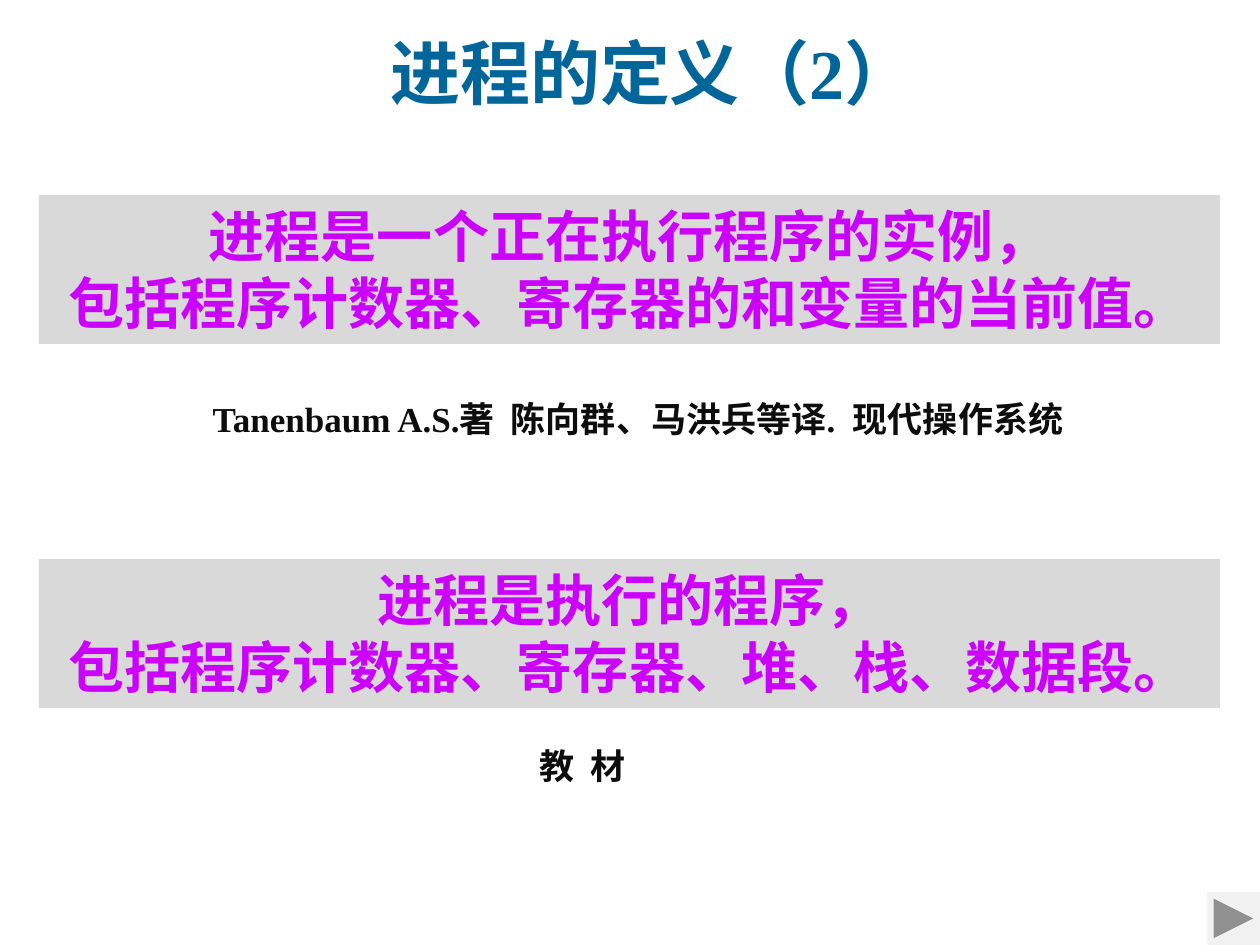
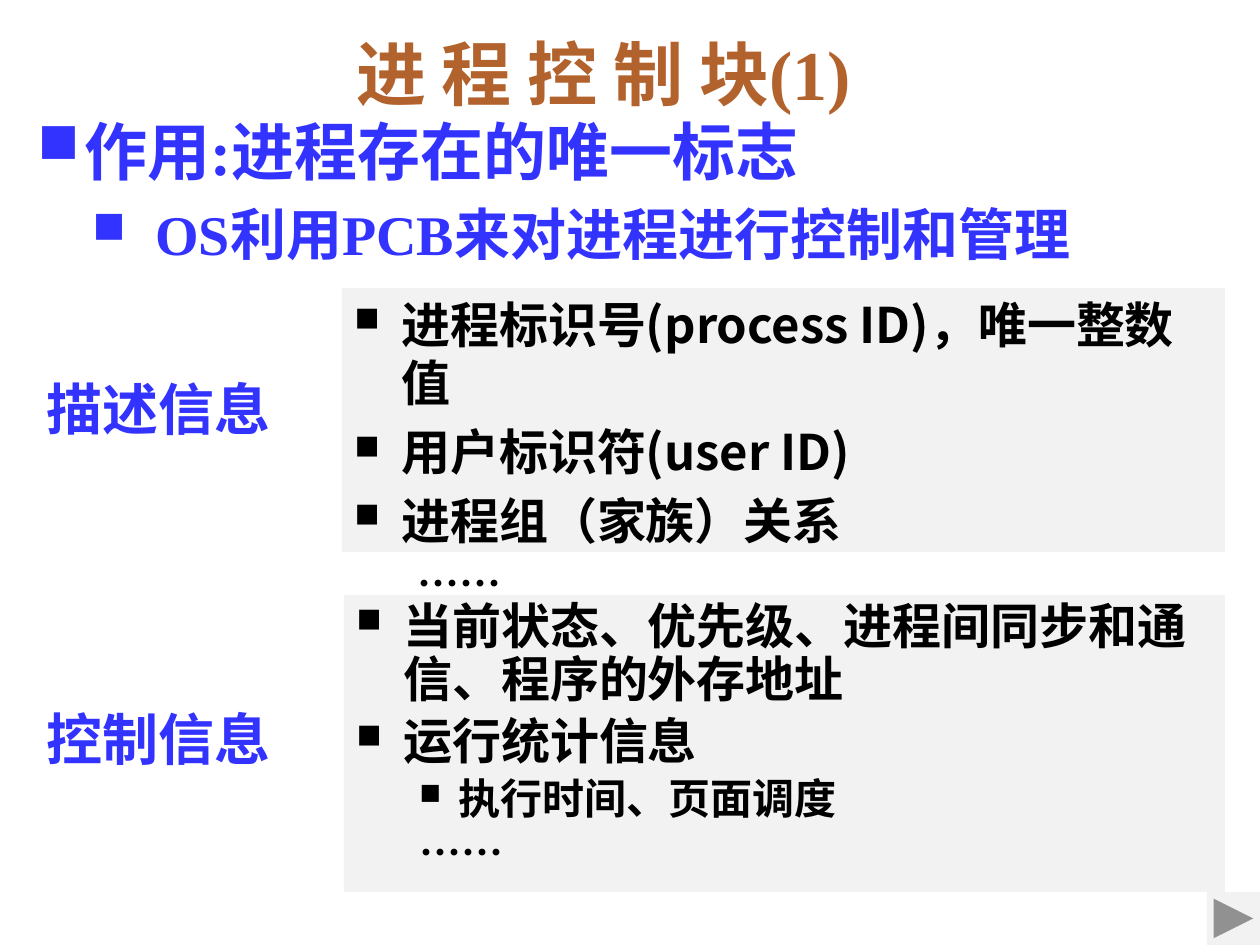
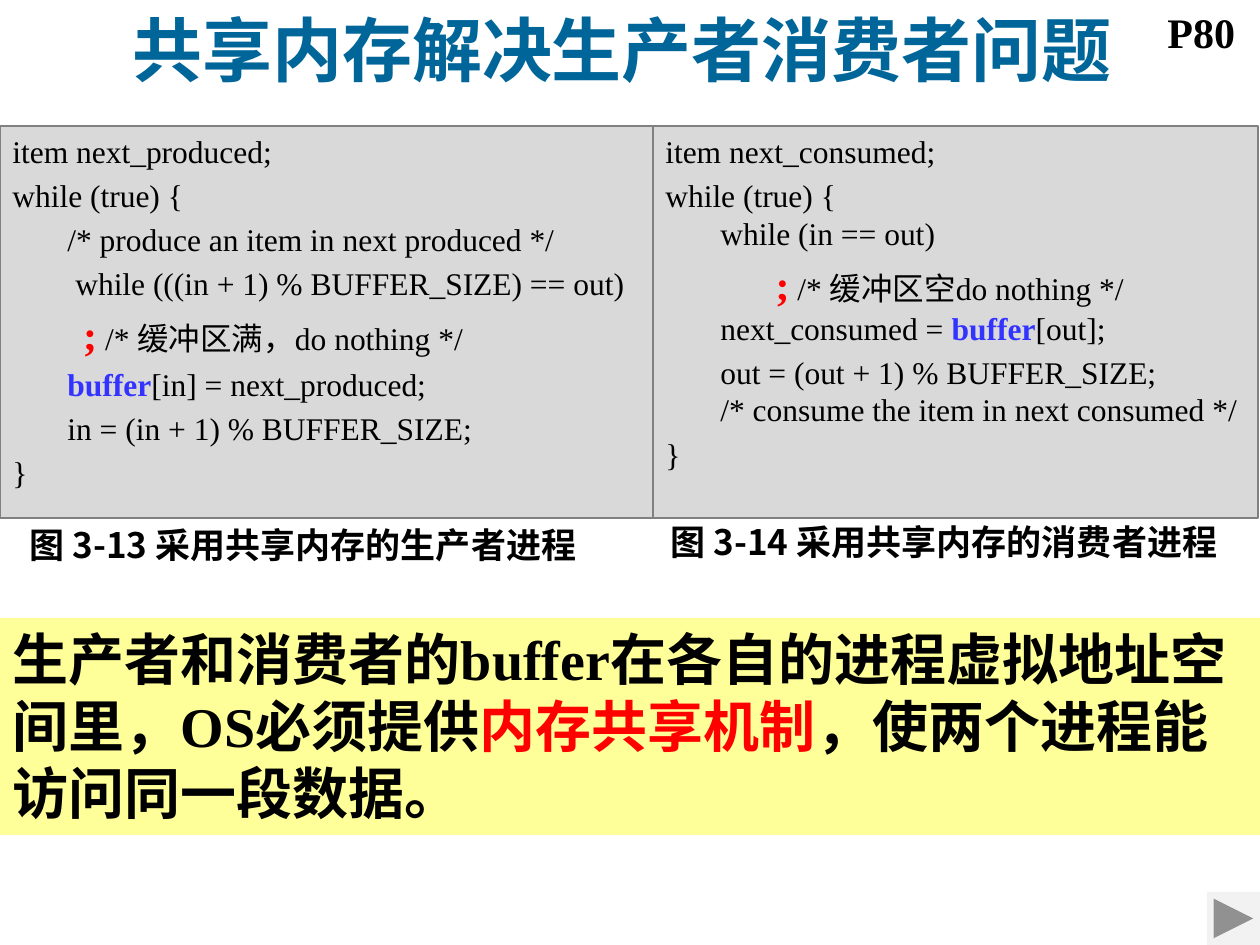
from lxml.etree import SubElement
from pptx import Presentation
from pptx.dml.color import RGBColor
from pptx.enum.shapes import MSO_SHAPE
from pptx.enum.text import MSO_ANCHOR, PP_ALIGN
from pptx.oxml.ns import qn
from pptx.util import Pt

PX = 914400 // 126
SLIDE_W, SLIDE_H = 1260, 945
TIMES, SANS = "Times New Roman", "Noto Sans CJK SC"
LINE_HEIGHT = 1.2
SPACE_BEFORE = 0.2
COLORS = {
    "title": "006699", "brown": "B2622C", "blue": "3333FF", "purple": "CC00FF",
    "red": "FF0000", "black": "000000", "ink": "0D0D0D", "gray": "D9D9D9",
    "pale": "F2F2F2", "yellow": "FFFF99", "border": "808080",
}


def px(length):
    return round(length * PX)


def color(name):
    return RGBColor.from_string(COLORS[name])


def add_bullet(paragraph, size_pct, color_name):
    """Give the paragraph a square bullet."""
    props = paragraph._p.get_or_add_pPr()
    SubElement(SubElement(props, qn("a:buClr")), qn("a:srgbClr"), val=COLORS[color_name])
    SubElement(props, qn("a:buSzPct"), val=str(size_pct * 1000))
    SubElement(props, qn("a:buChar"), char="■")


def style_run(run, size, font, ink, bold):
    run.font.size = Pt(size)
    run.font.bold = bold
    run.font.name = font
    run.font.color.rgb = color(ink)
    SubElement(run._r.get_or_add_rPr(), qn("a:ea"), typeface=SANS)


def write(frame, lines, size, font=TIMES, ink="black", bold=True, align=PP_ALIGN.LEFT,
          spacing=1.0, gap=0):
    """Write one paragraph per line; a line is its runs or a dict with its own layout."""
    frame.word_wrap = True
    frame.vertical_anchor = MSO_ANCHOR.TOP
    for number, line in enumerate(lines):
        line = line if isinstance(line, dict) else {"runs": line}
        runs = [line["runs"]] if isinstance(line["runs"], str) else line["runs"]
        runs = [(run, {}) if isinstance(run, str) else run for run in runs]
        line_size = line.get("size", size)
        tallest = max(look.get("size", line_size) for _, look in runs)

        paragraph = frame.add_paragraph() if number else frame.paragraphs[0]
        paragraph.alignment = align
        paragraph.line_spacing = Pt(round(tallest * LINE_HEIGHT * spacing, 1))
        paragraph.space_before = Pt(round(line_size * line.get("gap", gap), 1) if number else 0)
        props = paragraph._p.get_or_add_pPr()
        props.set("marL", str(px(line.get("margin", 0))))
        props.set("indent", str(px(-line.get("hang", 0))))
        if "bullet" in line:
            add_bullet(paragraph, line["bullet"], ink)

        for text, look in runs:
            run = paragraph.add_run()
            run.text = text
            style = {"size": line_size, "font": font, "ink": ink, "bold": bold, **look}
            style_run(run, **style)


def add_text(slide, box, lines, size, **look):
    text_box = slide.shapes.add_textbox(*map(px, box))
    write(text_box.text_frame, lines, size, **look)


def add_panel(slide, box, fill, border=None, kind=MSO_SHAPE.RECTANGLE):
    panel = slide.shapes.add_shape(kind, *map(px, box))
    panel.shadow.inherit = False
    panel.fill.solid()
    panel.fill.fore_color.rgb = color(fill)
    if border:
        panel.line.color.rgb = color(border)
        panel.line.width = Pt(0.75)
    else:
        panel.line.fill.background()
    return panel.text_frame


def add_title(slide, box, text, ink="title", spacing=1.4):
    add_text(slide, box, [text], 40, ink=ink, align=PP_ALIGN.CENTER, spacing=spacing)


def add_next_button(slide):
    side = 53
    add_panel(slide, (SLIDE_W - side, SLIDE_H - side, side, side), "pale",
              kind=MSO_SHAPE.ACTION_BUTTON_FORWARD_OR_NEXT)


# Definitions of a process
def add_definition(slide, top, lines, source, source_top, source_width):
    frame = add_panel(slide, (39, top, 1181, 149), "gray")
    write(frame, lines, 32, ink="purple", align=PP_ALIGN.CENTER)
    add_text(slide, (131, top + source_top, source_width, 55), [source], 20,
             ink="ink", align=PP_ALIGN.CENTER)


def build_definitions(slide):
    add_definition(slide, 195,
                   ["进程是一个正在执行程序的实例，", "包括程序计数器、寄存器的和变量的当前值。"],
                   "Tanenbaum A.S.著  陈向群、马洪兵等译.  现代操作系统", 196, 1014)
    add_definition(slide, 559,
                   ["进程是执行的程序，", "包括程序计数器、寄存器、堆、栈、数据段。"],
                   "教  材", 179, 903)
    add_title(slide, (117, -10, 1071, 118), "进程的定义（2）")


# Process control block
def item(text):
    return {"runs": text, "margin": 47, "hang": 47, "bullet": 70}


def add_info_group(slide, box, label, label_top, lines, spacing=1.0):
    left, top, width, height = box
    add_text(slide, (34, top + label_top, 287, 79), [label], 32, ink="blue")
    frame = add_panel(slide, (left, top, width, height), "pale")
    more = {"runs": "……", "size": 24, "margin": 63}
    write(frame, [*lines, more], 28, font=SANS, spacing=spacing, gap=SPACE_BEFORE)


def build_control_block(slide):
    add_title(slide, (68, -9, 1071, 131), "进 程 控 制 块(1)", ink="brown")
    purpose = [
        {"runs": "作用:进程存在的唯一标志", "margin": 47, "hang": 47, "bullet": 90},
        {"runs": "OS利用PCB来对进程进行控制和管理", "size": 32,
         "margin": 118, "hang": 63, "bullet": 80},
    ]
    add_text(slide, (25, 106, 1181, 158), purpose, 36, ink="blue", gap=SPACE_BEFORE)
    add_info_group(slide, (342, 288, 883, 264), "描述信息", 80, [
        item("进程标识号(process ID)，唯一整数值"),
        item("用户标识符(user ID)"),
        item("进程组（家族）关系"),
    ])
    add_info_group(slide, (344, 595, 881, 297), "控制信息", 103, [
        item("当前状态、优先级、进程间同步和通信、程序的外存地址"),
        item("运行统计信息"),
        {"runs": "执行时间、页面调度", "size": 24, "margin": 102, "hang": 39, "bullet": 70},
    ], spacing=0.9)


# Producer and consumer
BUSY_WAIT = (";", {"size": 24, "ink": "red", "bold": True})
BUFFER = ("buffer", {"ink": "blue", "bold": True})


def tight(*runs):
    return {"runs": runs, "gap": 0}


def add_code(slide, box, lines, caption, caption_box):
    left, top, width, height = box
    frame = add_panel(slide, box, "gray", border="border")
    write(frame, lines, 18, bold=False, gap=SPACE_BEFORE)
    shift, drop, caption_width = caption_box
    add_text(slide, (left + shift, top + height + drop, caption_width, 55), [caption], 20,
             font=SANS, align=PP_ALIGN.CENTER)


def build_shared_memory(slide):
    add_code(slide, (0, 126, 655, 392), [
        "item next_produced;",
        "while (true) {",
        "       /* produce an item in next produced */",
        "        while (((in + 1) % BUFFER_SIZE) == out)",
        ["\t ", BUSY_WAIT, " /* 缓冲区满，do nothing */"],
        ["       ", BUFFER, "[in] = next_produced;"],
        "       in = (in + 1) % BUFFER_SIZE;",
        "}",
    ], "图 3-13 采用共享内存的生产者进程", (0, -1, 606))
    add_code(slide, (653, 126, 605, 392), [
        "item next_consumed;",
        "while (true) {",
        tight("       while (in == out)"),
        ["              ", BUSY_WAIT, " /* 缓冲区空do nothing */"],
        tight("       next_consumed = ", BUFFER, "[out];"),
        "       out = (out + 1) % BUFFER_SIZE;",
        tight("       /* consume the item in next consumed */"),
        "}",
    ], "图 3-14 采用共享内存的消费者进程", (-17, -4, 616))
    add_text(slide, (1155, 0, 105, 63), ["P80"], 24)
    add_title(slide, (-8, 0, SLIDE_W, 106), "共享内存解决生产者消费者问题", spacing=1.0)

    # Conclusion band
    latin = {"font": TIMES}
    conclusion = ["生产者和消费者的", ("buffer", latin), "在各自的进程虚拟地址空间里，",
                  ("OS", latin), "必须提供", ("内存共享机制", {"ink": "red"}),
                  "，使两个进程能访问同一段数据。"]
    write(add_panel(slide, (0, 618, SLIDE_W, 217), "yellow"), [conclusion], 32, font=SANS)


def main():
    deck = Presentation()
    deck.slide_width, deck.slide_height = px(SLIDE_W), px(SLIDE_H)
    for build in (build_definitions, build_control_block, build_shared_memory):
        slide = deck.slides.add_slide(deck.slide_layouts[6])
        build(slide)
        add_next_button(slide)
    deck.save("out.pptx")


if __name__ == "__main__":
    main()
